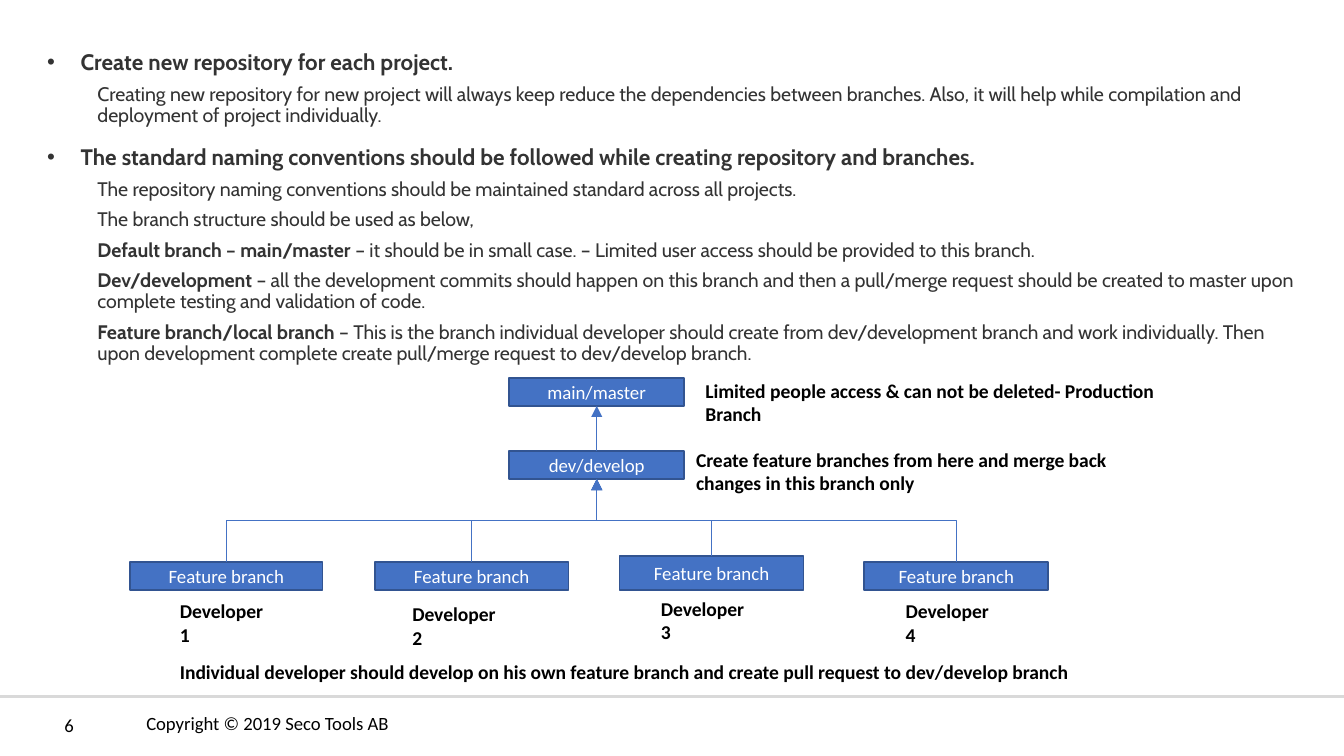
import pptx
import pptx.dml.color
import pptx.enum.shapes
import pptx.enum.text
import pptx.oxml.ns
import pptx.util
from lxml import etree

Pt = pptx.util.Pt
qn = pptx.oxml.ns.qn

THEME = {
    "heading": "333333", "ink": "000000", "box": "4472C4", "box_edge": "325491",
    "box_text": "FFFFFF", "rule": "D9D9D9",
    "body_font": "Cabin", "label_font": "Calibri",
    "heading_size": 12, "body_size": 10.5, "box_size": 10.1, "footer_size": 10,
}


def rgb(name):
    return pptx.dml.color.RGBColor.from_string(THEME[name])


def write(paragraph, text, size="body_size", font="label_font", color="ink", bold=False):
    run = paragraph.add_run()
    run.text = text
    run.font.size = Pt(THEME[size])
    run.font.name = THEME[font]
    run.font.color.rgb = rgb(color)
    run.font.bold = bold


deck = pptx.Presentation()
deck.slide_width, deck.slide_height = Pt(720), Pt(405)
slide = deck.slides.add_slide(deck.slide_layouts[1])
title = slide.shapes.title._element
title.getparent().remove(title)

guidelines = slide.placeholders[1]
guidelines.left, guidelines.top = Pt(18), Pt(23.8)
guidelines.width, guidelines.height = Pt(683.3), Pt(343.4)
guidelines.text_frame.word_wrap = True
guidelines.text_frame.auto_size = pptx.enum.text.MSO_AUTO_SIZE.NONE
guidelines.text_frame.vertical_anchor = pptx.enum.text.MSO_ANCHOR.TOP

rules = [
    (0, "Create new repository for each project.", ""),
    (1, "", "Creating new repository for new project will always keep reduce the dependencies between branches. "
            "Also, it will help while compilation and deployment of project individually."),
    (0, "The standard naming conventions should be followed while creating repository and branches.", ""),
    (1, "", "The repository naming conventions should be maintained standard across all projects."),
    (1, "", "The branch structure should be used as below,"),
    (1, "Default branch – main/master ",
     "– it should be in small case. – Limited user access should be provided to this branch."),
    (1, "Dev/development ",
     "– all the development commits should happen on this branch and then a pull/merge request "
     "should be created to master upon complete testing and validation of code."),
    (1, "Feature branch/local branch ",
     "– This is the branch individual developer should create from dev/development branch and work individually. "
     "Then upon development complete create pull/merge request to dev/develop branch."),
]
for index, (level, lead, detail) in enumerate(rules):
    rule = guidelines.text_frame.paragraphs[0] if index == 0 else guidelines.text_frame.add_paragraph()
    rule.level = level
    rule.line_spacing = 0.9
    rule.space_before = Pt(0 if index == 0 else 5 if level else 10)
    layout = rule._p.get_or_add_pPr()
    layout.set("marL", str(Pt(27 if level else 18)))
    layout.set("indent", str(Pt(0 if level else -18)))
    if level:
        etree.SubElement(layout, qn("a:buNone"))
    else:
        etree.SubElement(layout, qn("a:buFont"), typeface="Arial")
        etree.SubElement(layout, qn("a:buChar"), char="•")
    size = "body_size" if level else "heading_size"
    for text, bold in ((lead, True), (detail, False)):
        if text:
            write(rule, text, size=size, font="body_font", color="heading", bold=bold)

trunk_x = 319.7
bus_y = 279
dev_bottom = 256.7
features = [(69.8, 301, 103), (200.9, 301, 103.7), (331.9, 298.1, 98.6), (463, 301, 98.6)]
feature_bottom = 316.1

branches = [("main/master", 272.9, 202.3, 93.6, 15.1), ("dev/develop", 272.9, 241.6, 93.6, 15.1)]
branches += [("Feature branch", left, top, width, feature_bottom - top) for left, top, width in features]
for name, left, top, width, height in branches:
    branch = slide.shapes.add_shape(pptx.enum.shapes.MSO_SHAPE.FLOWCHART_PROCESS,
                                    Pt(left), Pt(top), Pt(width), Pt(height))
    branch.shadow.inherit = False
    branch.fill.solid()
    branch.fill.fore_color.rgb = rgb("box")
    branch.line.color.rgb = rgb("box_edge")
    branch.line.width = Pt(1)
    frame = branch.text_frame
    frame.margin_top = frame.margin_bottom = 0
    frame.vertical_anchor = pptx.enum.text.MSO_ANCHOR.MIDDLE
    frame.paragraphs[0].alignment = pptx.enum.text.PP_ALIGN.CENTER
    write(frame.paragraphs[0], name, size="box_size", color="box_text")

straight = pptx.enum.shapes.MSO_CONNECTOR.STRAIGHT
links = [(straight, trunk_x, 241.6, trunk_x, 217.4, "box", 0.5),
         (straight, 720, 373, 0, 373, "rule", 1.5)]
turns = {}
for left, top, width in features:
    start_x = left + width / 2
    rise = top - dev_bottom
    side = 1 if start_x < trunk_x else -1
    middle_x, middle_y = (start_x + trunk_x) / 2, (top + dev_bottom) / 2
    half_run = abs(trunk_x - start_x) / 2
    turns[len(links)] = (90 if side == 1 else 270, (top - bus_y) / rise)
    links.append((pptx.enum.shapes.MSO_CONNECTOR.ELBOW,
                  middle_x + side * rise / 2, middle_y + half_run,
                  middle_x - side * rise / 2, middle_y - half_run, "box", 0.5))

for index, (kind, x1, y1, x2, y2, color, weight) in enumerate(links):
    link = slide.shapes.add_connector(kind, Pt(x1), Pt(y1), Pt(x2), Pt(y2))
    link.line.color.rgb = rgb(color)
    link.line.width = Pt(weight)
    properties = link._element.spPr
    etree.SubElement(properties, qn("a:effectLst"))
    if color == "box":
        etree.SubElement(properties.find(qn("a:ln")), qn("a:tailEnd"), type="triangle")
    if index in turns:
        angle, bend = turns[index]
        properties.find(qn("a:xfrm")).set("rot", str(angle * 60000))
        adjustments = properties.find(qn("a:prstGeom")).get_or_add_avLst()
        etree.SubElement(adjustments, qn("a:gd"), name="adj1", fmla=f"val {round(bend * 100000)}")

notes = [
    ("Limited people access & can not be deleted- Production Branch", 370.8, 199.4, 286.6, 32.4),
    ("Create feature branches from here and merge back changes in this branch only", 365.8, 236.2, 244.8, 32.4),
    ("Individual developer should develop on his own feature branch and create pull request "
     "to dev/develop branch", 89.3, 349.9, 531.4, 20),
]
developers = [(89.3, 317.5), (213.8, 319), (347, 316.1), (478.1, 317.5)]
notes += [(f"Developer {number}", left, top, 64.1, 32.4)
          for number, (left, top) in enumerate(developers, 1)]
captions = [(*note, "body_size", True, 1) for note in notes]
captions += [("6", 27.4, 378.7, 38.2, 19.4, "footer_size", False, 1),
             ("Copyright © 2019 Seco Tools AB", 71.3, 379.4, 190.8, 16.6, "footer_size", False, 0.9)]
for text, left, top, width, height, size, bold, spacing in captions:
    caption = slide.shapes.add_textbox(Pt(left), Pt(top), Pt(width), Pt(height))
    caption.text_frame.word_wrap = True
    caption.text_frame.paragraphs[0].line_spacing = spacing
    write(caption.text_frame.paragraphs[0], text, size=size, bold=bold)

deck.save("out.pptx")
